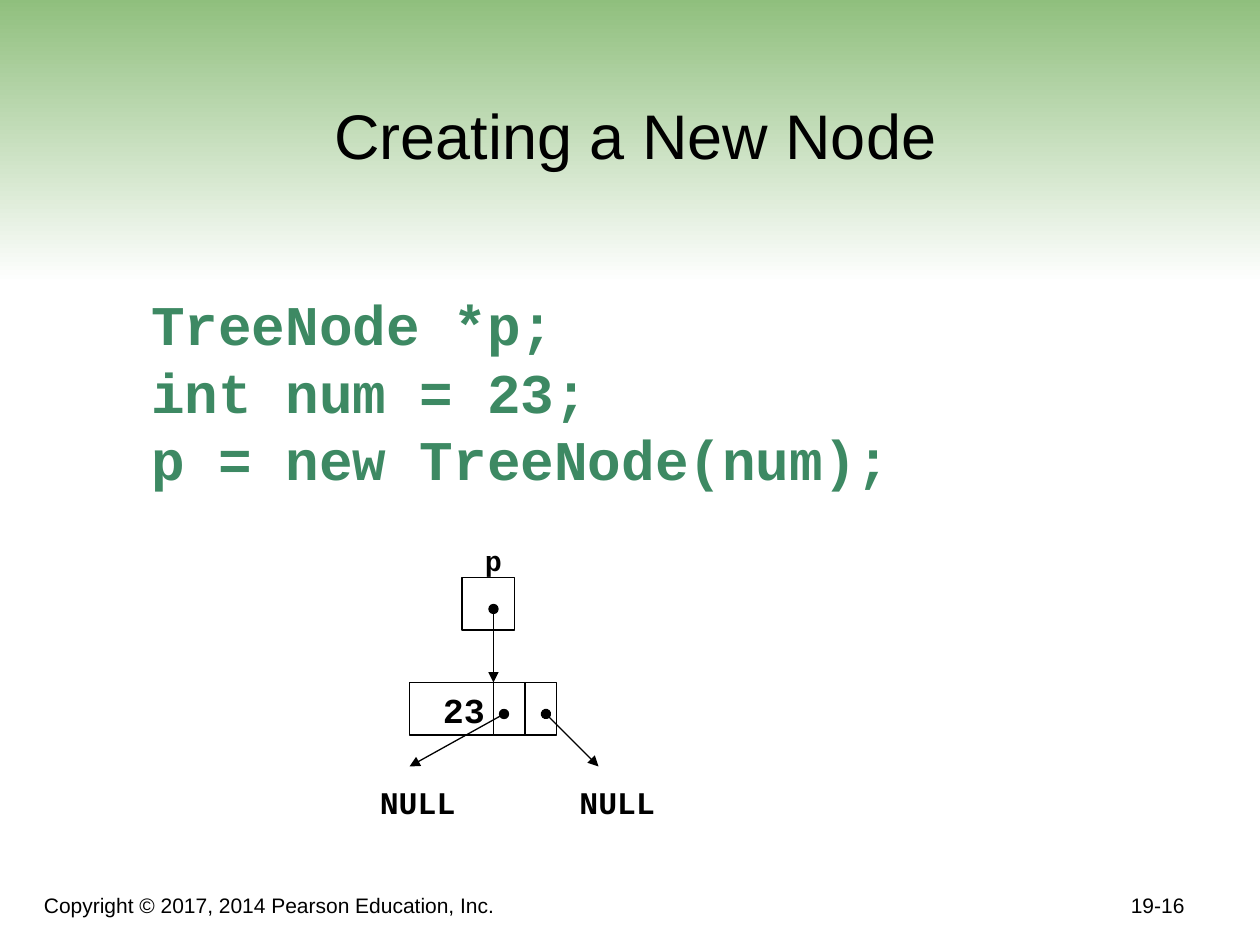
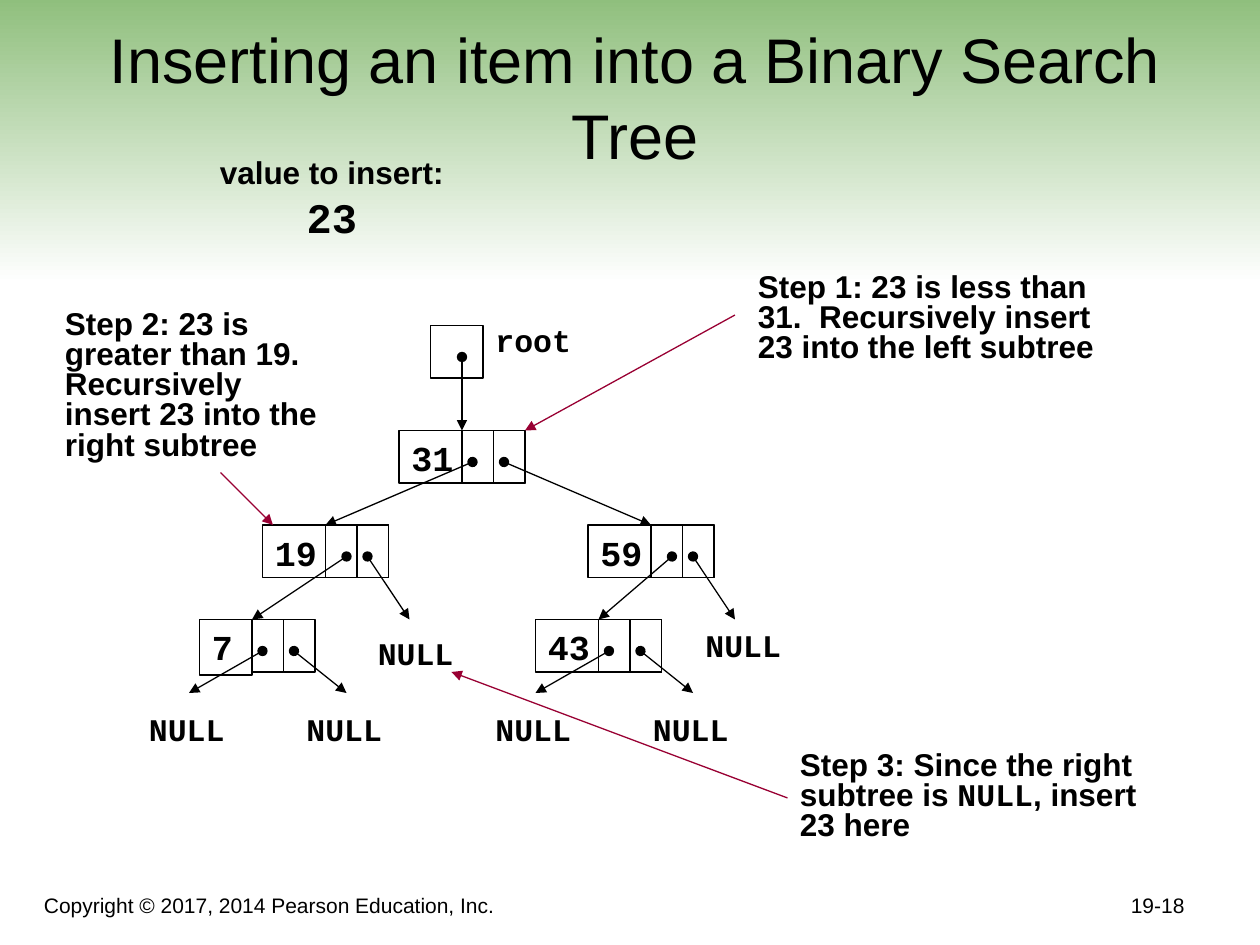
from lxml import etree
from pptx import Presentation
from pptx.dml.color import RGBColor
from pptx.enum.shapes import MSO_CONNECTOR, MSO_SHAPE
from pptx.enum.text import MSO_ANCHOR, MSO_AUTO_SIZE, PP_ALIGN
from pptx.oxml.ns import qn
from pptx.util import Cm, Pt

RECTANGLE = MSO_SHAPE.RECTANGLE
STRAIGHT = MSO_CONNECTOR.STRAIGHT
TOP, BOTTOM = MSO_ANCHOR.TOP, MSO_ANCHOR.BOTTOM
LEFT, CENTER, RIGHT = PP_ALIGN.LEFT, PP_ALIGN.CENTER, PP_ALIGN.RIGHT
GROW, FIXED = MSO_AUTO_SIZE.SHAPE_TO_FIT_TEXT, MSO_AUTO_SIZE.NONE

COLORS = {"ink": "000000", "code": "3D8963", "step": "990033",
          "band_top": "8CBD79", "band_end": "FFFFFF"}
SANS, MONO = "Arial", "Courier New"
FORMATS = {
    "title": {"name": SANS, "size": Pt(36), "bold": False},
    "footer": {"name": SANS, "size": Pt(12), "bold": False},
    "code": {"name": MONO, "size": Pt(32), "bold": True},
    "pointer": {"name": MONO, "size": Pt(28), "bold": True},
    "insert": {"name": MONO, "size": Pt(24), "bold": True},
    "value": {"name": MONO, "size": Pt(20), "bold": True},
    "label": {"name": MONO, "size": Pt(18), "bold": True},
    "note": {"name": SANS, "size": Pt(18), "bold": True},
}
LINE_WIDTH = Pt(0.75)
CELL_HEIGHT, LINK_WIDTH = 5, 3


def grid(units):
    """Length of grid units; the slide is 120 by 90 units."""
    return Cm(units * 2.54 / 12)


def color(name):
    return RGBColor.from_string(COLORS[name])


class TreeDeck:
    def __init__(self):
        self.deck = Presentation()
        self.deck.slide_width, self.deck.slide_height = grid(120), grid(90)
        self.page = None

    def start(self, title, number):
        """Open a page with its band, title and footers."""
        self.page = self.deck.slides.add_slide(self.deck.slide_layouts[5])
        heading = self.page.shapes.title
        place = {"left": 4, "top": 4, "width": 113, "height": 13}
        for side, units in place.items():
            setattr(heading, side, grid(units))
        self.fill_text(heading, [[(title, "title")]], align=CENTER,
                       anchor=BOTTOM, size_rule=FIXED)
        heading.element.addprevious(self.band().element)
        self.text(3, 83, 81, 5, "Copyright © 2017, 2014 Pearson Education, Inc.",
                  "footer", anchor=BOTTOM, size_rule=FIXED)
        self.text(89, 82, 25, 6, number, "footer", align=RIGHT,
                  anchor=BOTTOM, size_rule=FIXED)

    def band(self):
        band = self.page.shapes.add_shape(
            RECTANGLE, grid(0), grid(-1), grid(120), grid(28))
        band.shadow.inherit = False
        band.line.fill.background()
        band.fill.gradient()
        band.fill.gradient_angle = 270
        for stop, name in zip(band.fill.gradient_stops, ("band_top", "band_end")):
            stop.color.rgb = color(name)
        return band

    def fill_text(self, box, paragraphs, align=LEFT, anchor=TOP, wrap=True,
                  size_rule=GROW, spacing=None, ink="ink", inset=0.25):
        """Write paragraphs, each a list of (text, format name) spans."""
        frame = box.text_frame
        settings = {"word_wrap": wrap, "auto_size": size_rule,
                    "vertical_anchor": anchor,
                    "margin_left": Cm(inset), "margin_right": Cm(0.25),
                    "margin_top": Cm(0.13), "margin_bottom": Cm(0.13)}
        for key, value in settings.items():
            setattr(frame, key, value)
        for index, spans in enumerate(paragraphs):
            para = frame.add_paragraph() if index else frame.paragraphs[0]
            para.alignment = align
            para.space_before = Pt(0)
            if spacing:
                para.line_spacing = spacing
            for words, style in spans:
                span = para.add_run()
                span.text = words
                for key, value in FORMATS[style].items():
                    setattr(span.font, key, value)
                span.font.color.rgb = color(ink)

    def rich_text(self, left, top, width, height, paragraphs, **options):
        box = self.page.shapes.add_textbox(
            grid(left), grid(top), grid(width), grid(height))
        self.fill_text(box, paragraphs, **options)
        return box

    def text(self, left, top, width, height, words, style, **options):
        return self.rich_text(left, top, width, height, [[(words, style)]],
                              **options)

    def label(self, left, top, words="NULL"):
        self.text(left, top, 9.6, 4.8, words, "label", wrap=False)

    def cell(self, left, top, width, height=CELL_HEIGHT):
        cell = self.page.shapes.add_shape(
            RECTANGLE, grid(left), grid(top), grid(width), grid(height))
        cell.shadow.inherit = False
        cell.fill.background()
        cell.line.color.rgb = color("ink")
        cell.line.width = LINE_WIDTH

    def arrow(self, start, end, ink="ink", dot=True):
        arrow = self.page.shapes.add_connector(
            STRAIGHT, *(grid(units) for units in (*start, *end)))
        arrow.line.color.rgb = color(ink)
        arrow.line.width = LINE_WIDTH
        properties = arrow.element.spPr
        line = properties.get_or_add_ln()
        if dot:
            etree.SubElement(line, qn("a:headEnd"), type="oval")
        etree.SubElement(line, qn("a:tailEnd"), type="triangle")
        etree.SubElement(properties, qn("a:effectLst"))

    def pointer(self, left, top, target):
        """Pointer cell with an arrow down to its node."""
        self.cell(left, top, CELL_HEIGHT)
        self.arrow((target[0], top + 3), target)

    def node(self, links, top, value, ends, dots=(1, 4), frame=(6, 12, 5)):
        """Node whose two link cells begin at links; frame is offset and size."""
        offset, width, height = frame
        self.cell(links - offset, top, width, height)
        for index in range(2):
            self.cell(links + index * LINK_WIDTH, top, LINK_WIDTH)
        self.text(links - min(offset, 6), top, 7, 5.3, value, "value",
                  wrap=True, size_rule=FIXED)
        for dot, end in zip(dots, ends):
            self.arrow((links + dot, top + 3), end)

    def step(self, place, spans, start, end):
        """Note on one step, with its arrow."""
        self.rich_text(*place, [spans], spacing=0.8)
        self.arrow(start, end, ink="step", dot=False)


def new_node_page(tree):
    tree.start("Creating a New Node", "19-16")

    # Code
    lines = ("TreeNode *p;", "int num = 23;", "p = new TreeNode(num);")
    tree.rich_text(10, 27, 89, 54, [[(line, "code")] for line in lines],
                   ink="code", inset=0.93, size_rule=FIXED)

    # Diagram
    tree.pointer(44, 55, (47, 65))
    tree.node(47, 65, "23", [(39, 73), (57, 73)], dots=(1, 5), frame=(8, 8, 5))
    for left in (35, 54):
        tree.label(left, 74)
    caption = tree.text(44, 48, 6, 7.5, "p", "pointer", inset=0.46)
    for span in caption.text_frame.paragraphs[0].runs:
        span.font._element.set("baseline", "-25000")


def insert_page(tree):
    tree.start("Inserting an item into a Binary Search Tree", "19-18")
    tree.rich_text(19.7, 14, 23.8, 9.6,
                   [[("value to insert:", "note")], [("23", "insert")]],
                   align=CENTER, wrap=False)

    # Tree
    tree.pointer(41, 31, (44, 41))
    tree.label(46, 30, "root")
    tree.node(44, 41, "31", [(31, 50), (62, 50)])
    tree.node(31, 50, "19", [(24, 59), (39, 59)], dots=(2, 4))
    tree.node(62, 50, "59", [(57, 59), (70, 59)], dots=(2, 4))
    tree.node(24, 59, "7", [(18, 66), (33, 66)], frame=(5, 5, 5.3))
    tree.node(57, 59, "43", [(51, 66), (66, 66)])
    for left, top in ((34.8, 59.8), (66, 59), (13, 67), (28, 67),
                      (46, 67), (61, 67)):
        tree.label(left, top)

    # Steps
    tree.step((71, 25.5, 37, 9.8),
              [("Step 1: 23 is less than 31.  Recursively insert 23 into "
                "the left subtree", "note")], (70, 30), (50, 41))
    tree.step((5, 29, 27, 15.6),
              [("Step 2: 23 is greater than 19. Recursively insert 23 into "
                "the right subtree", "note")], (21, 45), (26, 50))
    tree.step((75, 71, 35.2, 9.8),
              [("Step 3: Since the right subtree is ", "note"),
               ("NULL", "label"), (", insert 23 here", "note")],
              (75, 76), (43, 64))


def main():
    tree = TreeDeck()
    new_node_page(tree)
    insert_page(tree)
    tree.deck.save("out.pptx")


if __name__ == "__main__":
    main()
